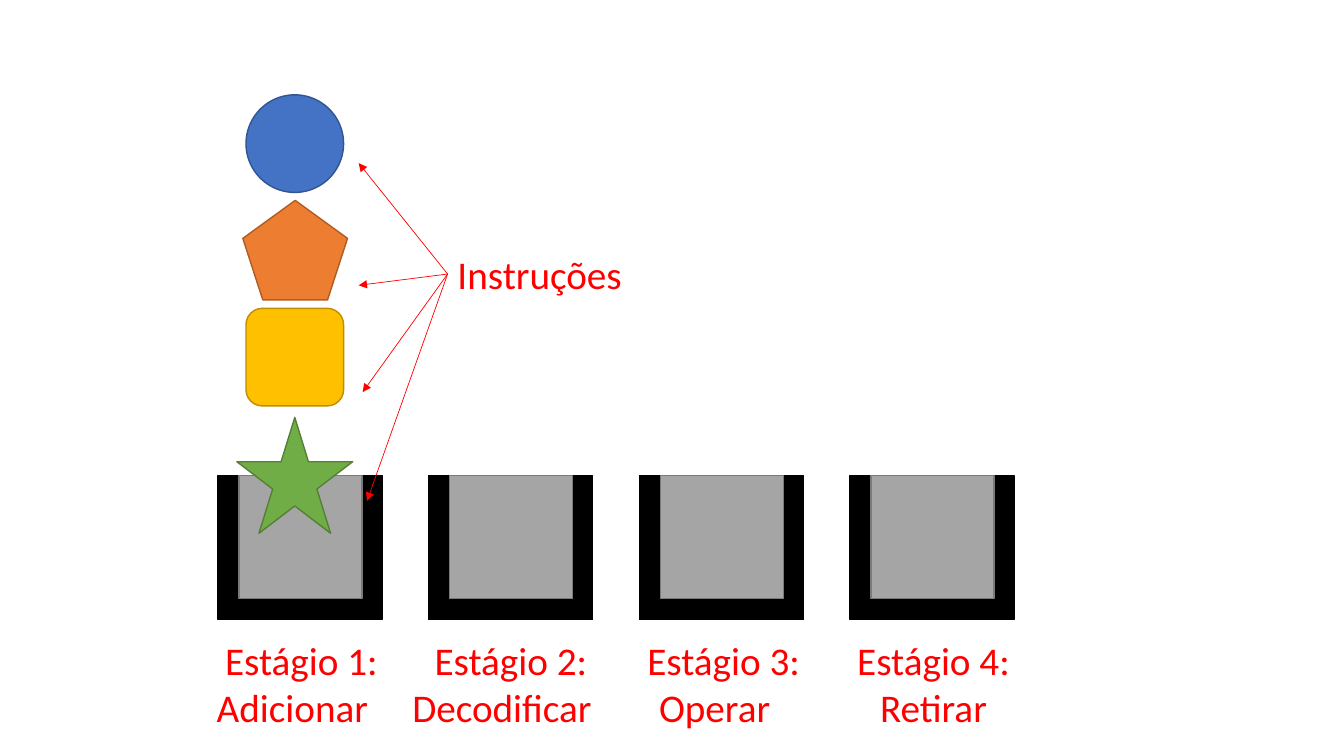
from lxml.etree import SubElement
from pptx import Presentation
from pptx.dml.color import RGBColor
from pptx.enum.shapes import MSO_CONNECTOR as Connector, MSO_SHAPE as Preset
from pptx.enum.text import MSO_AUTO_SIZE as AutoSize, PP_ALIGN as Align
from pptx.oxml.ns import qn
from pptx.util import Cm, Pt

RED = "FF0000"
STAGE_LEFT, STAGE_TOP, STAGE_STEP = 5.49, 11.99, 5.31
LABEL_SHIFT = 0.45

STAGES = [
    ("Adicionar", 4.8, True),
    ("Decodificar", 10.08, True),
    ("Operar", 15.44, True),
    ("Retirar", 20.73, False),
]
INSTRUCTIONS = [
    (Preset.OVAL, 6.2, 2.39, 2.46, 2.46, "4472C4", "325491"),
    (Preset.REGULAR_PENTAGON, 6.12, 5.05, 2.64, 2.51, "ED7D31", "AF5C24"),
    (Preset.ROUNDED_RECTANGLE, 6.2, 7.77, 2.46, 2.46, "FFC000", "BD8E00"),
    (Preset.STAR_5_POINT, 5.97, 10.52, 2.92, 2.92, "70AD47", "538035"),
]
ARROW_TIPS = [(9.04, 4.11), (9.04, 7.19), (9.14, 9.88), (9.25, 12.62)]


def color(value):
    return RGBColor.from_string(value)


def add_figure(shapes, preset, left, top, width, height, fill, line):
    shape = shapes.add_shape(preset, Cm(left), Cm(top), Cm(width), Cm(height))
    shape.shadow.inherit = False
    shape.fill.solid()
    shape.fill.fore_color.rgb = color(fill)
    shape.line.color.rgb = color(line)
    shape.line.width = Pt(1)


def add_stage(slide, left):
    shapes = slide.shapes.add_group_shape().shapes
    add_figure(shapes, Preset.RECTANGLE, left, STAGE_TOP, 4.14, 3.63, "000000", "000000")
    add_figure(shapes, Preset.RECTANGLE, left + 0.53, STAGE_TOP, 3.1, 3.1, "A5A5A5", "7A7A7A")


def add_label(slide, text, left, top, height, alignment):
    label = slide.shapes.add_textbox(Cm(left), Cm(top), Cm(5.59), Cm(height))
    text_frame = label.text_frame
    text_frame.word_wrap = True
    text_frame.auto_size = AutoSize.SHAPE_TO_FIT_TEXT
    text_frame.text = text
    for paragraph in text_frame.paragraphs:
        paragraph.alignment = alignment
        for run in paragraph.runs:
            run.font.name = "Calibri"
            run.font.size = Pt(28)
            run.font.color.rgb = color(RED)
    return label


def add_stage_label(slide, number, action, left, shifted):
    text = f"Estágio {number}:\n{action}"
    text_frame = add_label(slide, text, left, 15.9, 2.65, Align.CENTER).text_frame
    if shifted:
        text_frame.margin_right = Cm(0.25 + LABEL_SHIFT)
        properties = text_frame.paragraphs[0]._p.get_or_add_pPr()
        properties.set("marL", str(Cm(LABEL_SHIFT)))
        properties.set("indent", "0")


def add_arrow(slide, label, tip_left, tip_top):
    arrow = slide.shapes.add_connector(
        Connector.STRAIGHT, label.left, label.top, Cm(tip_left), Cm(tip_top)
    )
    arrow.begin_connect(label, 1)
    arrow.line.color.rgb = color(RED)
    arrow.line.width = Pt(0.5)
    SubElement(arrow.line._get_or_add_ln(), qn("a:tailEnd"), type="triangle")
    SubElement(arrow._element.spPr, qn("a:effectLst"))


def main():
    presentation = Presentation()
    presentation.slide_width = Cm(33.87)
    presentation.slide_height = Cm(19.05)
    slide = presentation.slides.add_slide(presentation.slide_layouts[6])

    for index in range(len(STAGES)):
        add_stage(slide, STAGE_LEFT + index * STAGE_STEP)
    for figure in INSTRUCTIONS:
        add_figure(slide.shapes, *figure)

    instructions_label = add_label(slide, "Instruções", 11.28, 6.18, 1.45, Align.LEFT)
    for tip in ARROW_TIPS:
        add_arrow(slide, instructions_label, *tip)
    for number, stage in enumerate(STAGES, start=1):
        add_stage_label(slide, number, *stage)

    presentation.save("out.pptx")


if __name__ == "__main__":
    main()
